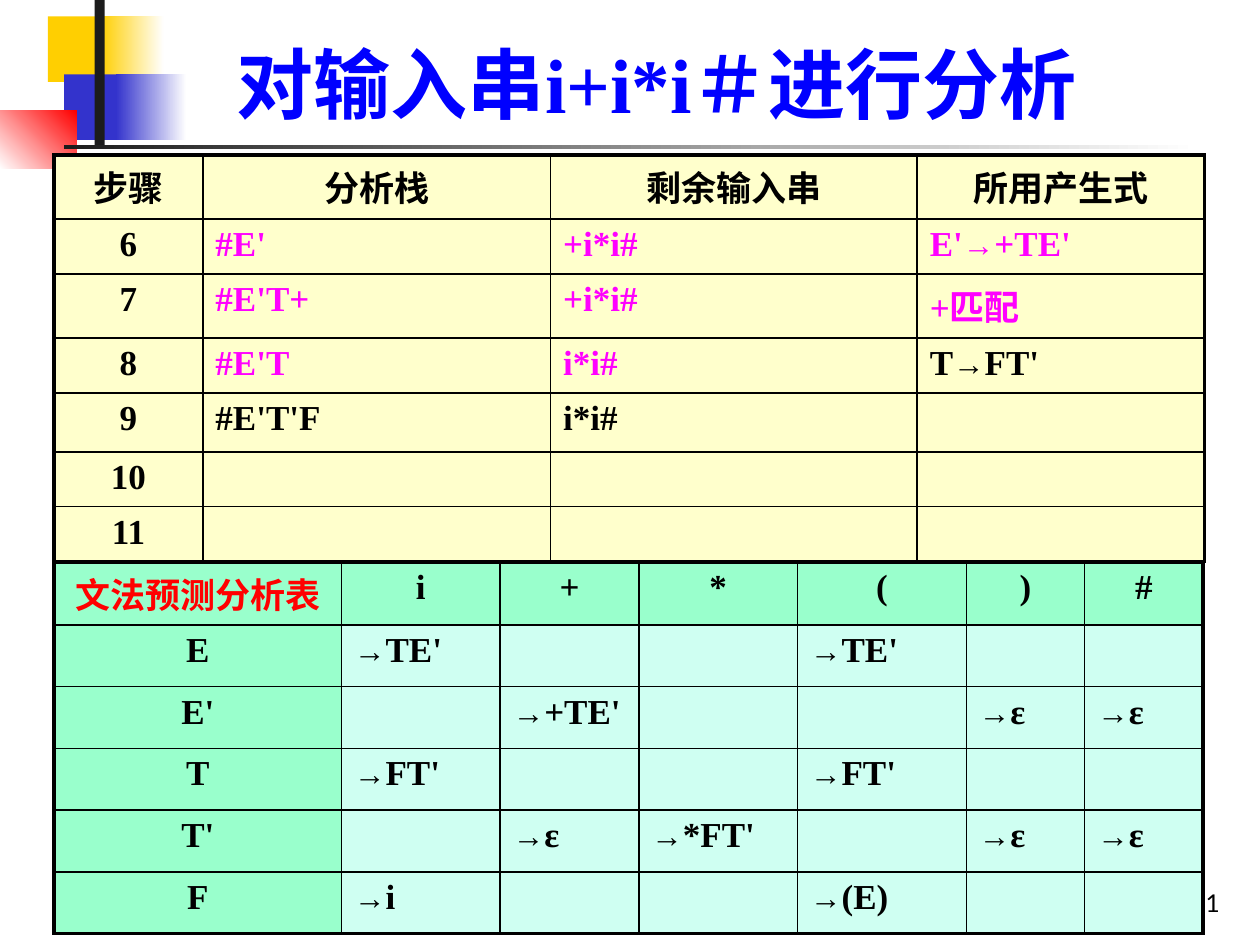
from lxml import etree
from pptx import Presentation
from pptx.dml.color import RGBColor
from pptx.enum.shapes import MSO_SHAPE
from pptx.enum.text import MSO_ANCHOR, PP_ALIGN
from pptx.oxml.ns import qn
from pptx.util import Inches, Pt

RECT = MSO_SHAPE.RECTANGLE
BOTTOM = MSO_ANCHOR.BOTTOM
LEFT, CENTER, RIGHT = PP_ALIGN.LEFT, PP_ALIGN.CENTER, PP_ALIGN.RIGHT

BLACK, WHITE, PINK = "000000", "FFFFFF", "FF00FF"
CREAM, MINT, PALE = "FFFFCC", "99FFCC", "CFFFF2"
ARROW = "→"

STEPS = [
    ["步骤", "分析栈", "剩余输入串", "所用产生式"],
    ["6", "#E'", "+i*i#", "E'→+TE'"],
    ["7", "#E'T+", "+i*i#", "+匹配"],
    ["8", "#E'T", "i*i#", "T→FT'"],
    ["9", "#E'T'F", "i*i#", ""],
    ["10", "", "", ""],
    ["11", "", "", ""],
]
RULES = [
    ["文法预测分析表", "i", "+", "*", "(", ")", "#"],
    ["E", "→TE'", "", "", "→TE'", "", ""],
    ["E'", "", "→+TE'", "", "", "→ε", "→ε"],
    ["T", "→FT'", "", "", "→FT'", "", ""],
    ["T'", "", "→ε", "→*FT'", "", "→ε", "→ε"],
    ["F", "→i", "", "", "→(E)", "", ""],
]


def color(code):
    return RGBColor.from_string(code)


def write(frame, text, size=20, font="Times New Roman", ink=BLACK,
          bold=True, align=LEFT):
    """Fill a frame with one paragraph; arrows are set slightly smaller."""
    para = frame.paragraphs[0]
    para.alignment = align
    head, arrow, tail = text.partition(ARROW)
    for part in filter(None, (head, arrow, tail)):
        run = para.add_run()
        run.text = part
        run.font.name = font
        run.font.size = Pt(18 if part == ARROW else size)
        run.font.bold = bold
        run.font.color.rgb = color(ink)


def add_text(slide, box, text, **style):
    frame = slide.shapes.add_textbox(*map(Inches, box)).text_frame
    frame.word_wrap = True
    frame.vertical_anchor = BOTTOM
    write(frame, text, **style)


def add_block(slide, box, start, end=None, angle=0):
    """Draw a plain block, or one that fades from start to end."""
    shape = slide.shapes.add_shape(RECT, *map(Inches, box))
    shape.shadow.inherit = False
    shape.line.fill.background()
    if end is None:
        shape.fill.solid()
        shape.fill.fore_color.rgb = color(start)
        return
    shape.fill.gradient()
    shape.fill.gradient_angle = angle
    for stop, place, code in zip(shape.fill.gradient_stops, (0, 1), (start, end)):
        stop.position = place
        stop.color.rgb = color(code)


def add_edge(cell, side, width):
    props = cell._tc.get_or_add_tcPr()
    line = etree.SubElement(props, qn(f"a:ln{side}"), w=str(Pt(width)))
    fill = etree.SubElement(line, qn("a:solidFill"))
    etree.SubElement(fill, qn("a:srgbClr"), val=BLACK)


def add_grid(slide, left, top, widths, heights, rows, paint, ink):
    """Add a table; paint and ink give a cell's fill and text colour."""
    size = len(rows), len(widths)
    box = left, top, sum(widths), sum(heights)
    table = slide.shapes.add_table(*size, *map(Inches, box)).table
    table.first_row = table.horz_banding = False
    for column, width in zip(table.columns, widths):
        column.width = Inches(width)
    for row, height in zip(table.rows, heights):
        row.height = Inches(height)
    for r, line in enumerate(rows):
        for c, text in enumerate(line):
            cell = table.cell(r, c)
            outer = {"L": c == 0, "R": c == size[1] - 1,
                     "T": r == 0, "B": r == size[0] - 1}
            for side, thick in outer.items():
                add_edge(cell, side, 2.25 if thick else 1)
            cell.fill.solid()
            cell.fill.fore_color.rgb = color(paint(r, c))
            write(cell.text_frame, text, ink=ink(r, c),
                  align=LEFT if r and c else CENTER)


def step_ink(r, c):
    return PINK if 1 <= r <= 3 and c and (r, c) != (3, 3) else BLACK


def rule_ink(r, c):
    return BLACK if r or c else "FF0000"


def add_decor(slide):
    add_block(slide, (0.38, 0.13, 0.67, 0.52), "FFCF01")
    add_block(slide, (0.8, 0.13, 0.5, 0.52), "FFCF01", WHITE)
    add_block(slide, (0.51, 0.59, 0.64, 0.52), "3333CC")
    add_block(slide, (0.92, 0.59, 0.56, 0.52), "3333CC", WHITE)
    add_block(slide, (0, 0.88, 0.61, 0.46), WHITE, "FF0000", angle=45)
    add_block(slide, (0.75, 0, 0.08, 1.15), "1C1C1C")
    add_block(slide, (0.51, 1.15, 9, 0.03), "1C1C1C", WHITE)


def main():
    deck = Presentation()
    deck.slide_width, deck.slide_height = Inches(10), Inches(7.5)
    slide = deck.slides.add_slide(deck.slide_layouts[6])
    add_decor(slide)
    add_text(slide, (7.7, 6.83, 2.08, 0.5), "51", size=14, font="Lato",
             bold=False, align=RIGHT)
    add_text(slide, (1.26, 0.23, 7.91, 0.84), "对输入串i+i*i＃进行分析",
             size=44, ink="0000FF", align=CENTER)
    add_grid(slide, 0.43, 4.46, [2.28, 1.26, 1.1, 1.26, 1.34, 0.94, 0.94],
             [0.5] + [0.49] * 5, RULES,
             lambda r, c: PALE if r and c else MINT, rule_ink)
    add_grid(slide, 0.43, 1.23, [1.18, 2.76, 2.91, 2.28],
             [0.51, 0.41, 0.51, 0.41, 0.47, 0.41, 0.41], STEPS,
             lambda r, c: CREAM, step_ink)
    deck.save("out.pptx")


if __name__ == "__main__":
    main()
